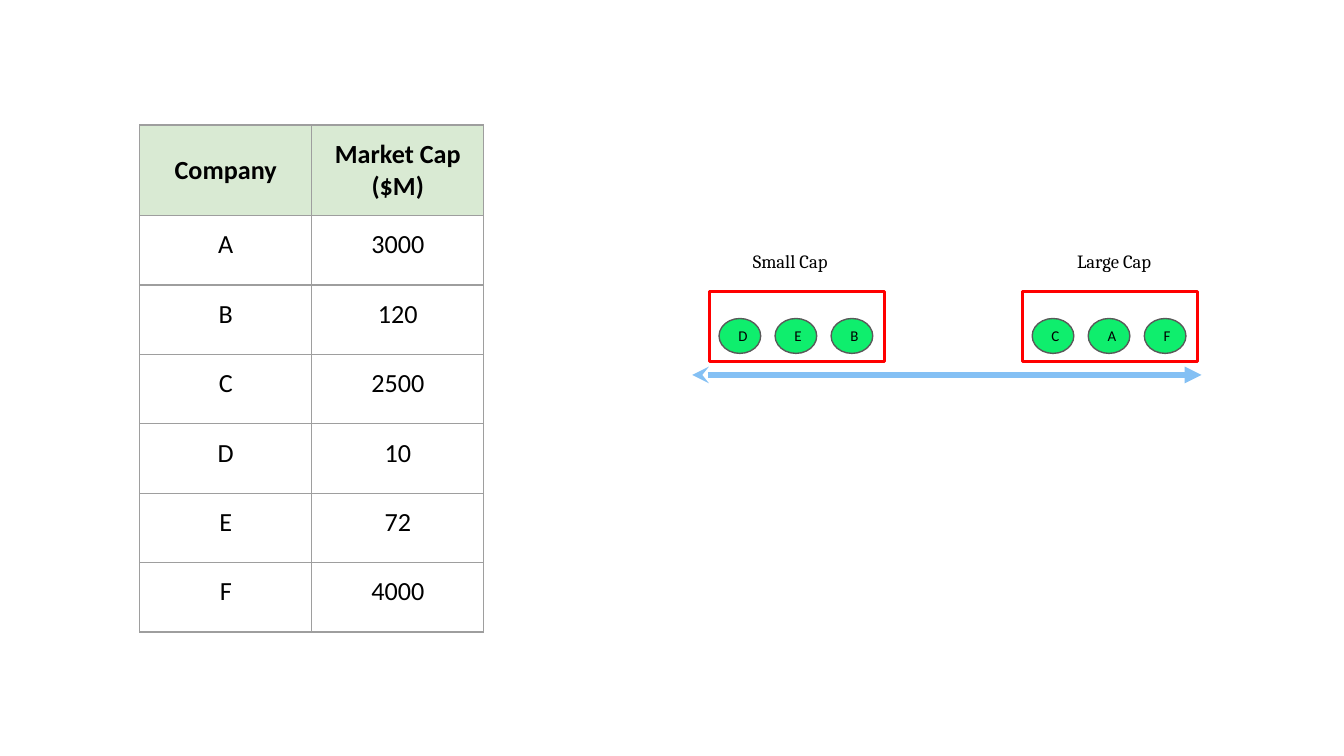
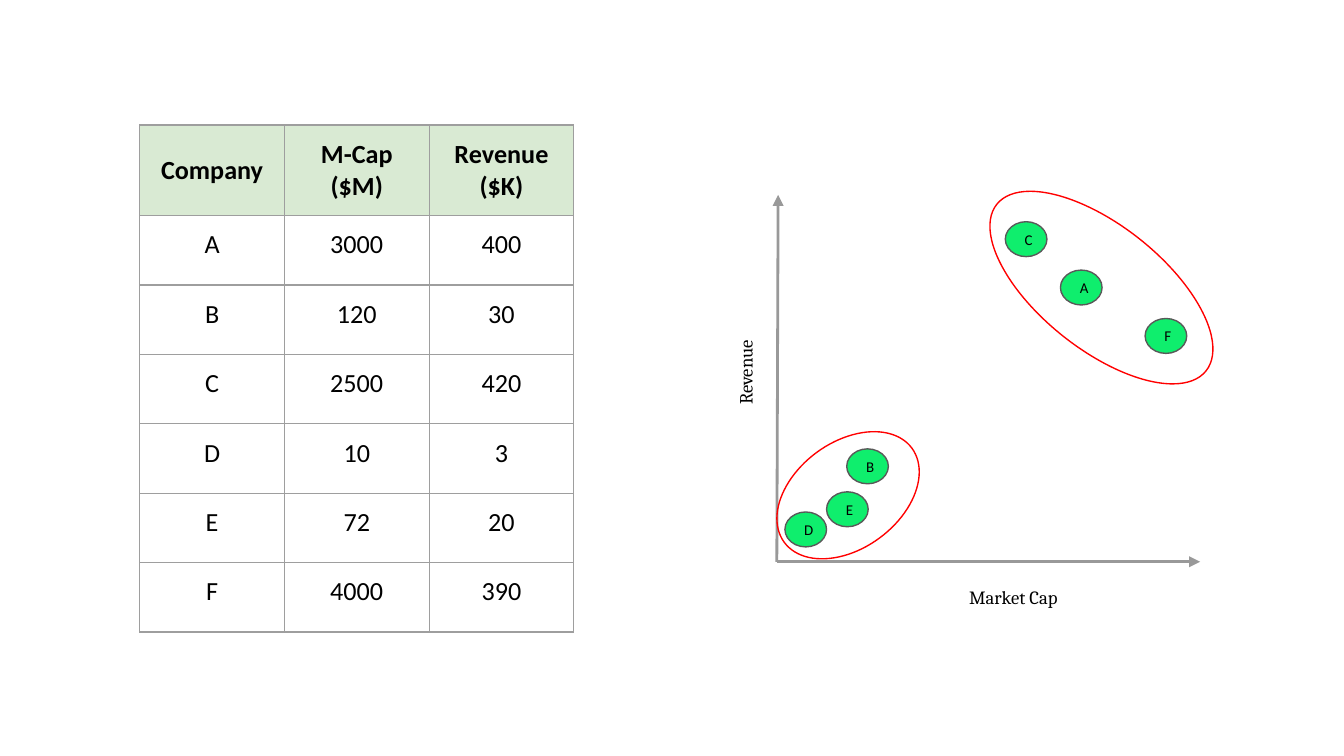
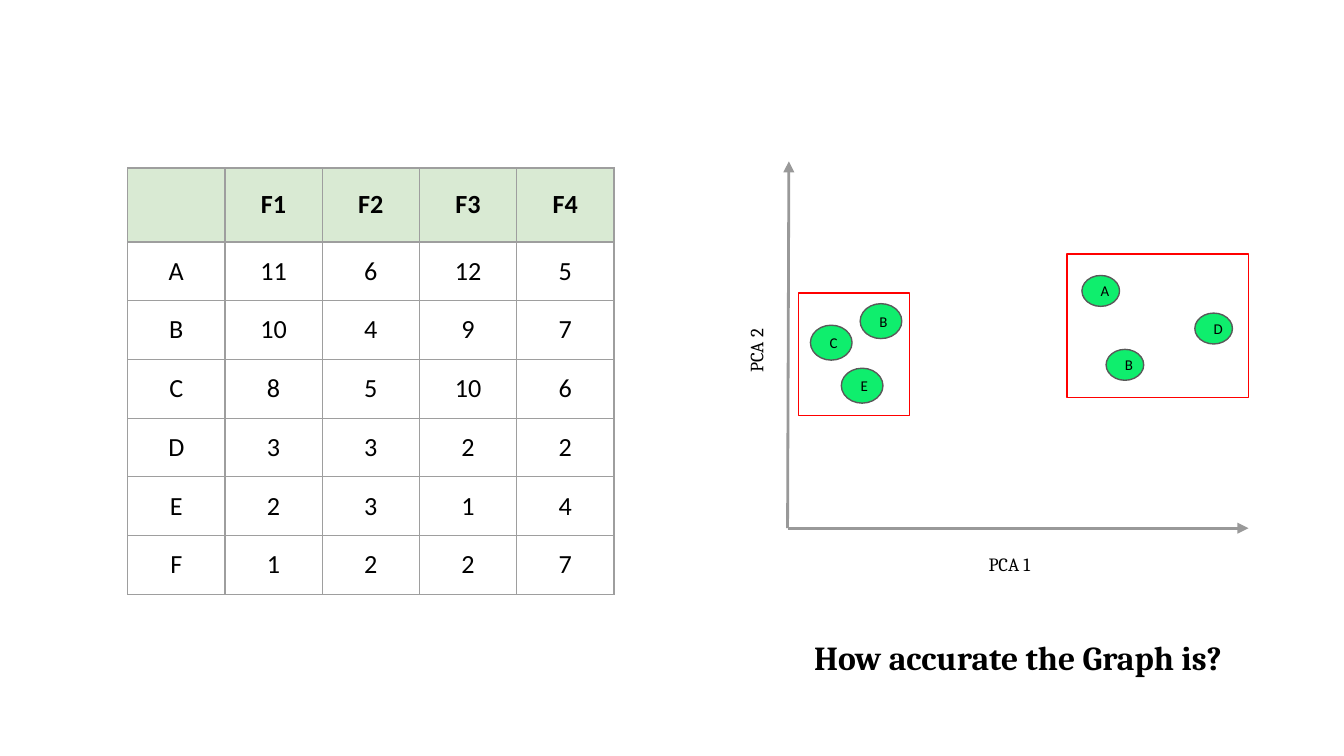
from lxml import etree
from pptx import Presentation
from pptx.dml.color import RGBColor
from pptx.enum import shapes, text
from pptx.oxml import ns
from pptx.util import Inches, Pt

# Grid: 100 square units across the slide
SLIDE_W, SLIDE_H = Inches(10), Inches(5.625)
UNIT = SLIDE_W / 100

BLACK, GREEN, DOT_EDGE = "000000", "0FEE6D", "595959"
RED, AXIS, SCALE = "FF0000", "999999", "84C0F4"
HEADER_FILL, BORDER = "D9EAD3", "9E9E9E"
BODY_FONT, LABEL_FONT = "Calibri", "Cambria"
DOT_SIZE = (3.1, 2.6)
LABEL_W, LABEL_H = 10, 3.6
RECT, OVAL = shapes.MSO_SHAPE.RECTANGLE, shapes.MSO_SHAPE.OVAL


def grid(*values):
    return [round(v * UNIT) for v in values]


def rgb(value):
    return RGBColor.from_string(value)


def write(tf, content, font, size, bold=False, align=text.PP_ALIGN.CENTER):
    """Fill a text frame, one paragraph a line."""
    tf.word_wrap = True
    tf.margin_left = tf.margin_right = tf.margin_top = tf.margin_bottom = Inches(0.1)
    tf.vertical_anchor = text.MSO_ANCHOR.MIDDLE
    for i, line in enumerate(content.split("\n")):
        p = tf.paragraphs[0] if i == 0 else tf.add_paragraph()
        p.text = line
        p.alignment = align
        p.font.name, p.font.size, p.font.bold = font, Pt(size), bold
        p.font.color.rgb = rgb(BLACK)


def add_label(slide, content, x, y, w=LABEL_W, size=10, bold=False, rotation=0):
    sp = slide.shapes.add_textbox(*grid(x, y, w, LABEL_H))
    sp.rotation = rotation
    write(sp.text_frame, content, LABEL_FONT, size, bold)


def add_outline(slide, kind, box, fill=None, line=RED, weight=0.75, rotation=0):
    sp = slide.shapes.add_shape(kind, *grid(*box))
    sp.shadow.inherit = False
    sp.rotation = rotation
    if fill:
        sp.fill.solid()
        sp.fill.fore_color.rgb = rgb(fill)
    else:
        sp.fill.background()
    sp.line.color.rgb = rgb(line)
    sp.line.width = Pt(weight)
    return sp


def add_dot(slide, name, x, y, size=DOT_SIZE):
    sp = add_outline(slide, OVAL, (x, y, *size), GREEN, DOT_EDGE)
    write(sp.text_frame, name, BODY_FONT, 8, align=text.PP_ALIGN.LEFT)


def add_arrow(slide, start, end, color, weight, head=None):
    cx = slide.shapes.add_connector(shapes.MSO_CONNECTOR.STRAIGHT, *grid(*start, *end))
    cx.line.color.rgb = rgb(color)
    cx.line.width = Pt(weight)
    ln = cx.line._get_or_add_ln()
    if head:
        etree.SubElement(ln, ns.qn("a:headEnd"), type=head)
    etree.SubElement(ln, ns.qn("a:tailEnd"), type="triangle")
    etree.SubElement(cx._element.spPr, ns.qn("a:effectLst"))


def set_borders(cell):
    tc_pr = cell._tc.get_or_add_tcPr()
    for i, side in enumerate(("lnL", "lnR", "lnT", "lnB")):
        ln = etree.Element(ns.qn(f"a:{side}"), w=str(Pt(0.75)))
        fill = etree.SubElement(ln, ns.qn("a:solidFill"))
        etree.SubElement(fill, ns.qn("a:srgbClr"), val=BORDER)
        tc_pr.insert(i, ln)


def data_table(slide, box, header_h, rows):
    """Table with a tinted header; the other rows share the rest of the box."""
    x, y, w, h = box
    table = slide.shapes.add_table(len(rows), len(rows[0]), *grid(*box)).table
    table.first_row = table.horz_banding = False
    for col in table.columns:
        col.width = grid(w / len(rows[0]))[0]
    for i, values in enumerate(rows):
        row_h = (h - header_h) / (len(rows) - 1) if i else header_h
        table.rows[i].height = grid(row_h)[0]
        for j, value in enumerate(values):
            cell = table.cell(i, j)
            write(cell.text_frame, value, BODY_FONT, 14, bold=i == 0)
            cell.margin_left = cell.margin_right = Inches(0.1)
            cell.margin_top = cell.margin_bottom = Inches(0.1)
            if i == 0:
                cell.vertical_anchor = text.MSO_ANCHOR.MIDDLE
                cell.fill.solid()
                cell.fill.fore_color.rgb = rgb(HEADER_FILL)
            else:
                cell.vertical_anchor = text.MSO_ANCHOR.TOP
                cell.fill.background()
            set_borders(cell)


def cap_scale(slide, box, groups):
    """Double-headed scale along the bottom, with boxed groups above it."""
    x, y, w, h = box
    for name, group_x, label_x, members in groups:
        left, top = x + group_x, y + 4.1
        add_outline(slide, RECT, (left, top, 13, 5.2), weight=1.5)
        for i, member in enumerate(members):
            add_dot(slide, member, left + 0.7 + 4.17 * i, top + 2)
        add_label(slide, name, x + label_x, y)
    add_arrow(slide, (x, y + h), (x + w, y + h), SCALE, 3, head="stealth")


def scatter(slide, box, x_label, y_label, clusters):
    """Two axes, their names, and outlined clusters of dots."""
    x, y, w, h = box
    bottom = y + h
    add_arrow(slide, (x, bottom), (x + w, bottom), AXIS, 1.5)
    add_arrow(slide, (x, bottom), (x + 0.1, y), AXIS, 1.5)
    (x_name, x_pos), (y_name, y_pos) = x_label, y_label
    add_label(slide, x_name, x + x_pos, bottom + 0.85)
    add_label(slide, y_name, x - 7.35, y + y_pos, rotation=270)
    for kind, (cx, cy, cw, ch), rotation, size, dots in clusters:
        add_outline(slide, kind, (x + cx, y + cy, cw, ch), rotation=rotation)
        for name, dx, dy in dots:
            add_dot(slide, name, x + dx, y + dy, size)


def one_feature_slide(slide):
    data_table(slide, (10.4, 9.3, 25.6, 37.7), 6.7, [
        ("Company", "Market Cap\n($M)"),
        ("A", "3000"), ("B", "120"), ("C", "2500"),
        ("D", "10"), ("E", "72"), ("F", "4000")])
    cap_scale(slide, (51.5, 17.6, 37.9, 10.3), [
        ("Small Cap", 1.3, 2.3, "DEB"), ("Large Cap", 24.6, 26.4, "CAF")])


def two_feature_slide(slide):
    data_table(slide, (10.4, 9.3, 32.3, 37.7), 6.7, [
        ("Company", "M-Cap\n($M)", "Revenue\n($K)"),
        ("A", "3000", "400"), ("B", "120", "30"), ("C", "2500", "420"),
        ("D", "10", "3"), ("E", "72", "20"), ("F", "4000", "390")])
    scatter(slide, (57.8, 14.5, 31.5, 27.3), ("Market Cap", 12.6), ("Revenue", 11.4), [
        (OVAL, (14.2, 2.3, 19.9, 9.2), 38.5, DOT_SIZE,
         [("A", 21.1, 5.6), ("C", 17, 2), ("F", 27.4, 9.2)]),
        (OVAL, (-0.6, 18.4, 11.8, 7.9), 323.6, DOT_SIZE,
         [("E", 3.7, 22.1), ("D", 0.6, 23.6), ("B", 5.2, 18.9)])])


def pca_slide(slide):
    data_table(slide, (9.5, 12.5, 36.2, 31.7), 5.5, [
        ("", "F1", "F2", "F3", "F4"),
        ("A", "11", "6", "12", "5"), ("B", "10", "4", "9", "7"),
        ("C", "8", "5", "10", "6"), ("D", "3", "3", "2", "2"),
        ("E", "2", "3", "1", "4"), ("F", "1", "2", "2", "7")])
    plane = (58.6, 12, 34.3, 27.3)
    scatter(slide, plane, ("PCA 1", 11.5), ("PCA 2", 12.3), [
        (RECT, (0.8, 9.8, 8.3, 9.1), 0, DOT_SIZE,
         [("E", 4, 15.4), ("C", 1.7, 12.2), ("B", 5.4, 10.6)]),
        (RECT, (20.8, 6.9, 13.5, 10.7), 0, (2.8, 2.3),
         [("B", 23.7, 14), ("A", 21.9, 8.5), ("D", 30.3, 11.3)])])
    add_label(slide, "How accurate the Graph is?", plane[0], 47.1, plane[2], 18, True)


def main():
    prs = Presentation()
    prs.slide_width, prs.slide_height = SLIDE_W, SLIDE_H
    for build in (one_feature_slide, two_feature_slide, pca_slide):
        build(prs.slides.add_slide(prs.slide_layouts[6]))
    prs.save("out.pptx")


if __name__ == "__main__":
    main()
